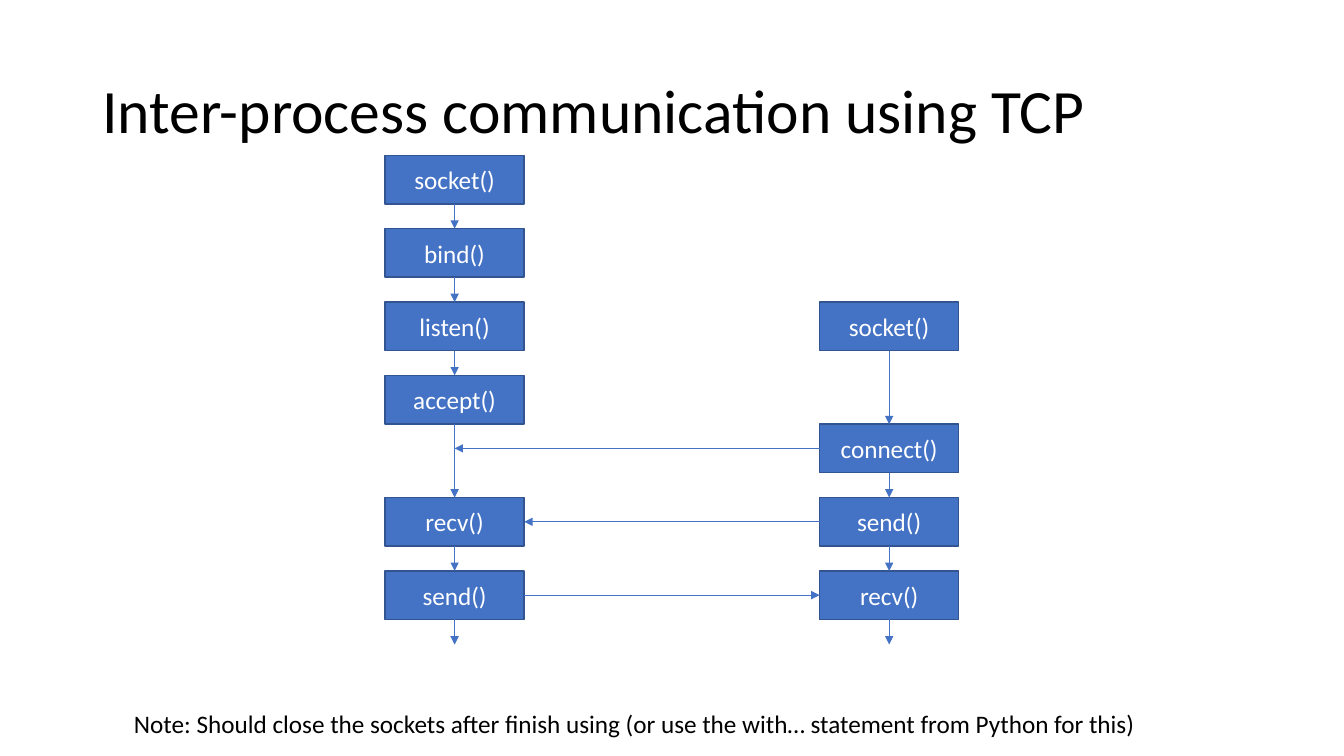
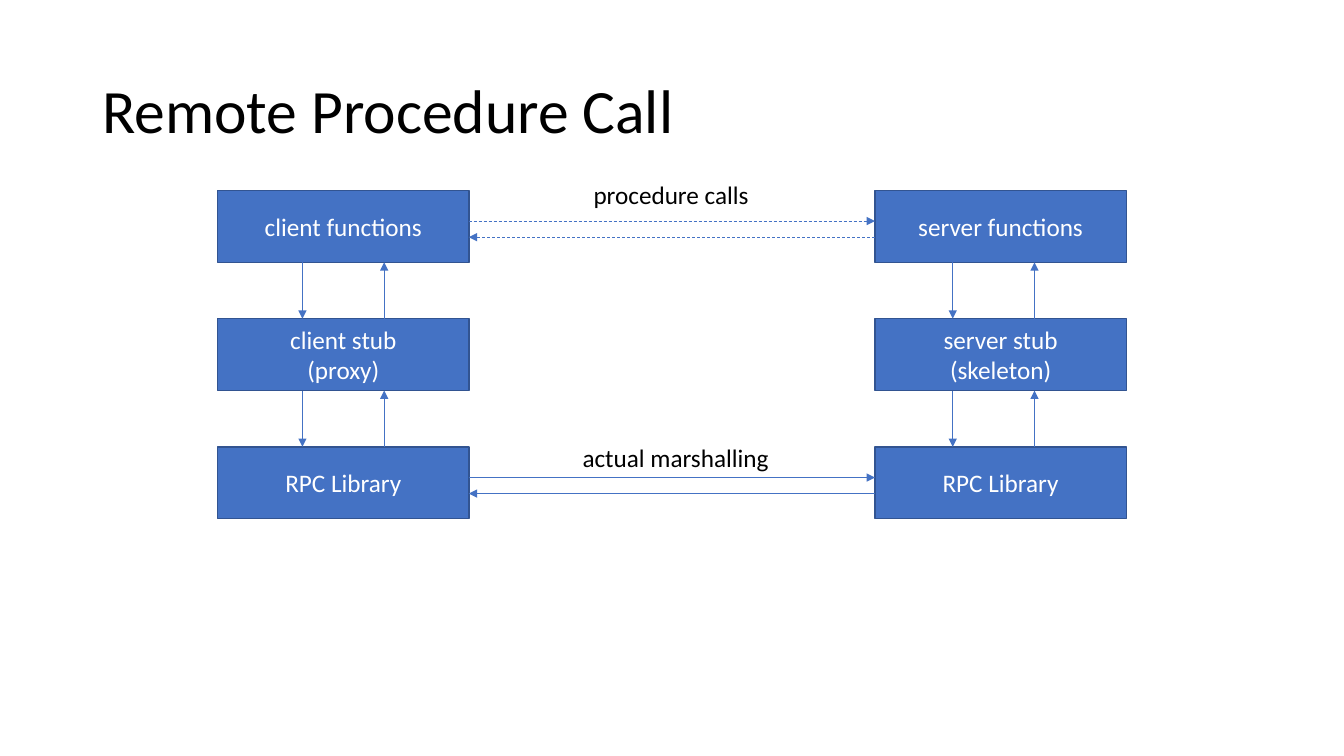
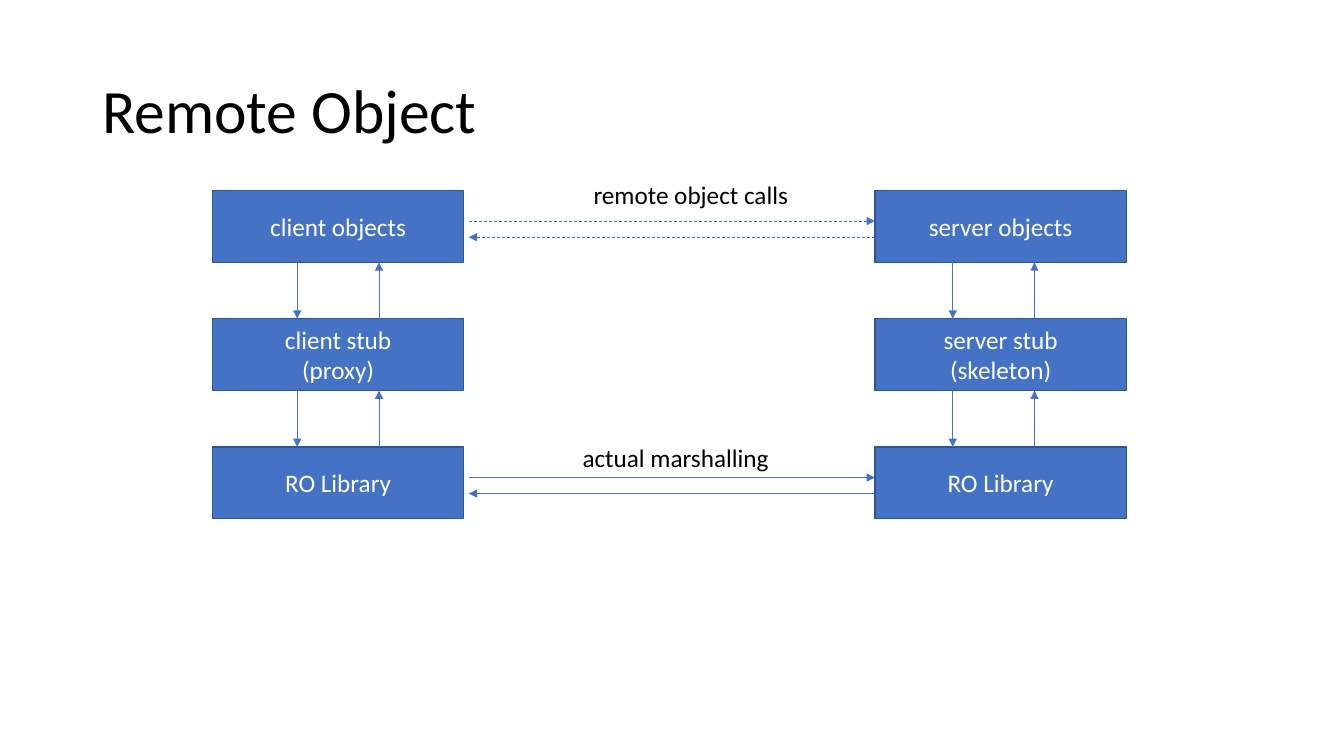
from itertools import pairwise

from lxml.etree import SubElement
from pptx import Presentation
from pptx.dml.color import RGBColor
from pptx.enum.dml import MSO_LINE
from pptx.enum.shapes import MSO_CONNECTOR, MSO_SHAPE
from pptx.enum.text import MSO_ANCHOR, PP_ALIGN
from pptx.oxml.ns import qn
from pptx.util import Pt


def color(value):
    return RGBColor.from_string(value)


def write(frame, text, size=18, ink="000000", align=PP_ALIGN.LEFT,
          anchor=MSO_ANCHOR.TOP, spacing=1.0, wrap=True):
    """Fill a text frame, one paragraph per line of text."""
    frame.word_wrap = wrap
    frame.vertical_anchor = anchor
    for index, line in enumerate(text.split("\n")):
        para = frame.paragraphs[0] if index == 0 else frame.add_paragraph()
        para.alignment = align
        para.line_spacing = spacing
        span = para.add_run()
        span.text = line
        span.font.name = "Calibri"
        span.font.size = Pt(size)
        span.font.color.rgb = color(ink)


class Diagram:
    """Shared style and the slide being drawn; lengths are in points."""

    BLUE, EDGE, WHITE = "4472C4", "325491", "FFFFFF"

    def __init__(self):
        self.deck = Presentation()
        self.deck.slide_width, self.deck.slide_height = Pt(960), Pt(540)
        self.slide = None

    def start(self, title):
        self.slide = self.deck.slides.add_slide(self.deck.slide_layouts[6])
        self.label(title, 66, 29, 828, 104.4, size=44, spacing=0.9,
                   anchor=MSO_ANCHOR.MIDDLE, wrap=True)

    def label(self, text, left, top, width, height=29, wrap=False, **style):
        box = self.slide.shapes.add_textbox(
            Pt(left), Pt(top), Pt(width), Pt(height))
        write(box.text_frame, text, wrap=wrap, **style)

    def box(self, text, left, top, width, height):
        box = self.slide.shapes.add_shape(
            MSO_SHAPE.RECTANGLE, Pt(left), Pt(top), Pt(width), Pt(height))
        box.shadow.inherit = False
        box.fill.solid()
        box.fill.fore_color.rgb = color(self.BLUE)
        box.line.color.rgb = color(self.EDGE)
        box.line.width = Pt(1)
        write(box.text_frame, text, ink=self.WHITE, align=PP_ALIGN.CENTER,
              anchor=MSO_ANCHOR.MIDDLE)

    def arrow(self, x1, y1, x2, y2, dashed=False):
        arrow = self.slide.shapes.add_connector(
            MSO_CONNECTOR.STRAIGHT, Pt(x1), Pt(y1), Pt(x2), Pt(y2))
        arrow.line.color.rgb = color(self.BLUE)
        arrow.line.width = Pt(0.5)
        if dashed:
            arrow.line.dash_style = MSO_LINE.DASH
        SubElement(arrow.line._get_or_add_ln(), qn("a:tailEnd"), type="triangle")
        SubElement(arrow._element.spPr, qn("a:effectLst"))


# Socket calls of the two processes
CALL_WIDTH, CALL_HEIGHT = 99.5, 34.6
CALL_TOP, CALL_PITCH = 111, 52.4
SERVER_LEFT, CLIENT_LEFT = 275, 585.4
RECEIVE_TOP = 355.4
CONNECT_TOP = RECEIVE_TOP - CALL_PITCH
ANSWER_TOP = RECEIVE_TOP + CALL_PITCH


def call_column(diagram, left, calls):
    center = left + CALL_WIDTH / 2
    for name, top in calls:
        diagram.box(name, left, top, CALL_WIDTH, CALL_HEIGHT)
    for (_, top), (_, below) in pairwise(calls):
        diagram.arrow(center, top + CALL_HEIGHT, center, below)
    bottom = calls[-1][1] + CALL_HEIGHT
    diagram.arrow(center, bottom, center, bottom + 18)


def tcp_slide(diagram):
    diagram.start("Inter-process communication using TCP")
    setup = [(name, CALL_TOP + row * CALL_PITCH) for row, name in
             enumerate(["socket()", "bind()", "listen()", "accept()"])]
    listen_top = setup[2][1]
    call_column(diagram, SERVER_LEFT, setup + [
        ("recv()", RECEIVE_TOP), ("send()", ANSWER_TOP)])
    call_column(diagram, CLIENT_LEFT, [
        ("socket()", listen_top), ("connect()", CONNECT_TOP),
        ("send()", RECEIVE_TOP), ("recv()", ANSWER_TOP)])

    # Messages between the columns
    server_right = SERVER_LEFT + CALL_WIDTH
    for start, end, top in [
            (CLIENT_LEFT, SERVER_LEFT + CALL_WIDTH / 2, CONNECT_TOP),
            (CLIENT_LEFT, server_right, RECEIVE_TOP),
            (server_right, CLIENT_LEFT, ANSWER_TOP)]:
        middle = top + CALL_HEIGHT / 2
        diagram.arrow(start, middle, end, middle)
    diagram.label("Note: Should close the sockets after finish using (or use "
                  "the with… statement from Python for this)", 88.6, 502.5, 733)


# Layers of a remote call
LAYER_WIDTH, LAYER_HEIGHT = 179.5, 51.4
LAYER_TOPS = [136 + row * 91.6 for row in range(3)]
LINK_LEFT, LINK_RIGHT = 334.8, 625


def layer_stack(diagram, left, names, arrow_shift=0):
    for name, top in zip(names, LAYER_TOPS):
        diagram.box(name, left, top, LAYER_WIDTH, LAYER_HEIGHT)
    center = left + LAYER_WIDTH / 2 + arrow_shift
    for top, below in pairwise(LAYER_TOPS):
        bottom = top + LAYER_HEIGHT
        diagram.arrow(center - 29.2, bottom, center - 29.2, below)
        diagram.arrow(center + 29.2, below, center + 29.2, bottom)


def remote_slide(diagram, title, kind, library, client_left, calls, calls_width):
    diagram.start(title)
    layer_stack(diagram, client_left,
                [f"client {kind}", "client stub\n(proxy)", library])
    layer_stack(diagram, LINK_RIGHT,
                [f"server {kind}", "server stub\n(skeleton)", library],
                arrow_shift=-5)

    # Links between the two sides
    for top, dashed in [(LAYER_TOPS[0], True), (LAYER_TOPS[-1], False)]:
        diagram.arrow(LINK_LEFT, top + 21.9, LINK_RIGHT, top + 21.9, dashed)
        diagram.arrow(LINK_RIGHT, top + 33.4, LINK_LEFT, top + 33.4, dashed)
    diagram.label(calls, 416.9, 124.6, calls_width)
    diagram.label("actual marshalling", 409, 312.5, 150.5)


def main():
    diagram = Diagram()
    tcp_slide(diagram)
    remote_slide(diagram, "Remote Procedure Call", "functions", "RPC Library",
                 155.5, "procedure calls", 126.7)
    remote_slide(diagram, "Remote Object", "objects", "RO Library",
                 151.8, "remote object calls", 158.4)
    diagram.deck.save("out.pptx")


if __name__ == "__main__":
    main()
